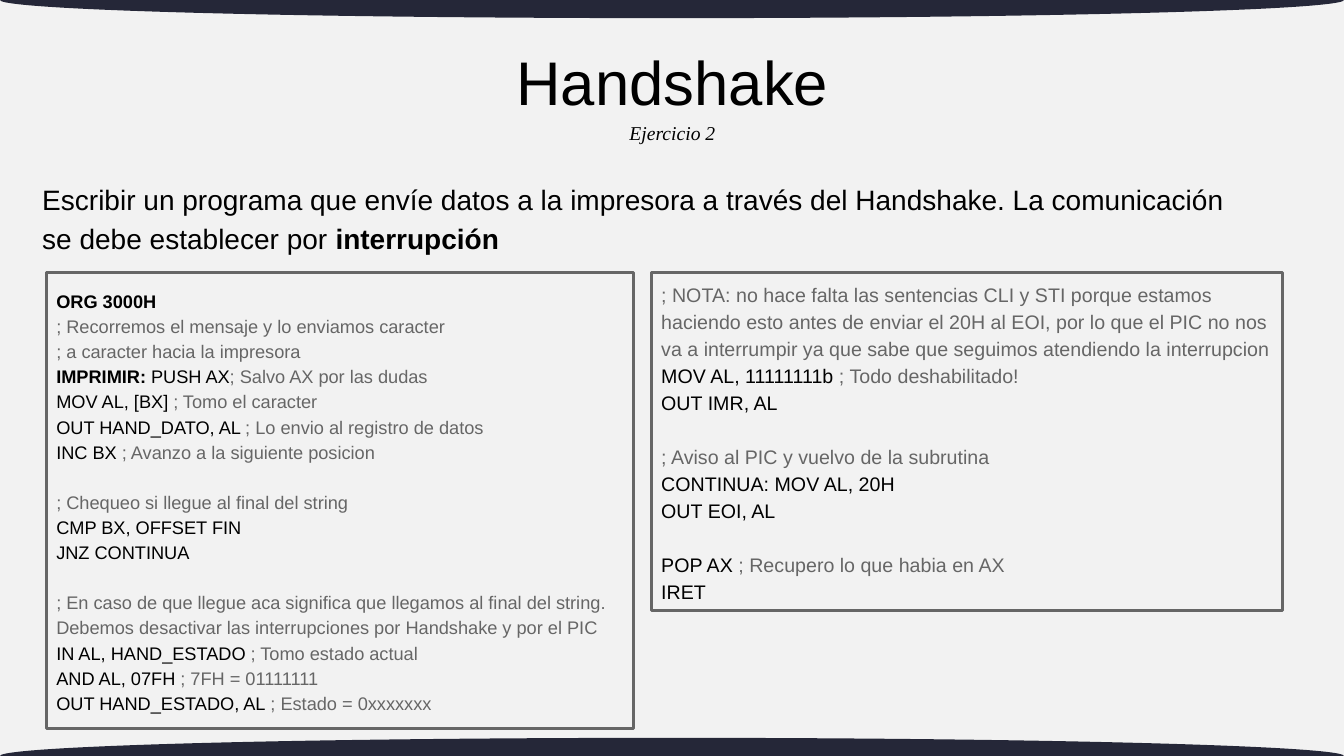
from pptx import Presentation
from pptx.dml.color import RGBColor
from pptx.enum.shapes import MSO_SHAPE
from pptx.enum.text import MSO_ANCHOR, PP_ALIGN
from pptx.util import Inches, Pt

ELLIPSE = MSO_SHAPE.OVAL
TOP, MIDDLE = MSO_ANCHOR.TOP, MSO_ANCHOR.MIDDLE
LEFT, CENTER = PP_ALIGN.LEFT, PP_ALIGN.CENTER

PAGE_WIDTH, PAGE_HEIGHT = 13.33, 7.5
BAND_HEIGHT = 0.36
PAPER, NAVY, BLACK, GREY = "F2F2F2", "252738", "000000", "666666"

# Blocks of code lines; each line is (bold label, code, comment)
PRINT_CODE = [
    [
        ("ORG 3000H", "", ""),
        ("", "", "; Recorremos el mensaje y lo enviamos caracter"),
        ("", "", "; a caracter hacia la impresora"),
        ("IMPRIMIR:", " PUSH AX", "; Salvo AX por las dudas"),
        ("", "MOV AL, [BX] ", "; Tomo el caracter"),
        ("", "OUT HAND_DATO, AL ", "; Lo envio al registro de datos"),
        ("", "INC BX ", "; Avanzo a la siguiente posicion"),
    ],
    [
        ("", "", "; Chequeo si llegue al final del string"),
        ("", "CMP BX, OFFSET FIN", ""),
        ("", "JNZ CONTINUA", ""),
    ],
    [
        ("", "", "; En caso de que llegue aca significa que llegamos al final "
                 "del string. Debemos desactivar las interrupciones por "
                 "Handshake y por el PIC"),
        ("", "IN AL, HAND_ESTADO", " ; Tomo estado actual"),
        ("", "AND AL, 07FH ", "; 7FH = 01111111"),
        ("", "OUT HAND_ESTADO, AL", " ; Estado = 0xxxxxxx"),
    ],
]
RETURN_CODE = [
    [
        ("", "", "; NOTA: no hace falta las sentencias CLI y STI porque "
                 "estamos haciendo esto antes de enviar el 20H al EOI, por lo "
                 "que el PIC no nos va a interrumpir ya que sabe que seguimos "
                 "atendiendo la interrupcion"),
        ("", "MOV AL, 11111111b ", "; Todo deshabilitado!"),
        ("", "OUT IMR, AL", ""),
    ],
    [
        ("", "", "; Aviso al PIC y vuelvo de la subrutina"),
        ("", "CONTINUA: MOV AL, 20H", ""),
        ("", "OUT EOI, AL", ""),
    ],
    [
        ("", "POP AX ", "; Recupero lo que habia en AX"),
        ("", "IRET", ""),
    ],
]


def color(value):
    return RGBColor.from_string(value)


def add_band(page, center_y):
    """Flat ellipse across the page, centred on an edge."""
    band = page.shapes.add_shape(
        ELLIPSE, Inches(0), Inches(center_y - BAND_HEIGHT / 2),
        Inches(PAGE_WIDTH), Inches(BAND_HEIGHT))
    band.shadow.inherit = False
    band.fill.solid()
    band.fill.fore_color.rgb = color(NAVY)
    band.line.fill.background()


def add_box(page, left, top, width, height, anchor=MIDDLE):
    box = page.shapes.add_textbox(
        Inches(left), Inches(top), Inches(width), Inches(height))
    box.text_frame.word_wrap = True
    box.text_frame.vertical_anchor = anchor
    return box


def add_span(para, text, size, tint=BLACK, bold=False, italic=False,
             font="Arial"):
    span = para.add_run()
    span.text = text
    span.font.name = font
    span.font.size = Pt(size)
    span.font.bold = bold
    span.font.italic = italic
    span.font.color.rgb = color(tint)


def add_heading(page, left, top, width):
    """Title with the exercise number under it."""
    title = add_box(page, left + 0.26, top, width - 0.52, 0.94)
    para = title.text_frame.paragraphs[0]
    para.alignment = CENTER
    para.line_spacing = 0.9
    add_span(para, "Handshake", 44)

    subtitle = add_box(page, left, top + 0.77, width, 0.34, TOP)
    para = subtitle.text_frame.paragraphs[0]
    para.alignment = CENTER
    add_span(para, "Ejercicio 2", 14, italic=True, font="Times New Roman")


def add_task(page, left, top, width, height):
    box = add_box(page, left, top, width, height)
    para = box.text_frame.paragraphs[0]
    para.alignment = LEFT
    para.line_spacing = 1.15
    add_span(para, "Escribir un programa que envíe datos a la impresora a "
                   "través del Handshake. La comunicación se debe establecer "
                   "por ", 20)
    add_span(para, "interrupción", 20, bold=True)


def add_code(page, left, top, width, height, blocks, size):
    """Framed listing with a one-line gap between blocks."""
    box = add_box(page, left, top, width, height)
    box.line.color.rgb = color(GREY)
    box.line.width = Pt(2.25)
    para = None
    for block in blocks:
        for index, (label, code, comment) in enumerate(block):
            if para is None:
                para = box.text_frame.paragraphs[0]
            else:
                para = box.text_frame.add_paragraph()
                if index == 0:
                    para.space_before = Pt(round(size * 1.38, 1))
            para.alignment = LEFT
            para.line_spacing = 1.15
            for text, tint, bold in ((label, BLACK, True),
                                     (code, BLACK, False),
                                     (comment, GREY, False)):
                if text:
                    add_span(para, text, size, tint, bold)


def main():
    deck = Presentation()
    deck.slide_width = Inches(PAGE_WIDTH)
    deck.slide_height = Inches(PAGE_HEIGHT)
    page = deck.slides.add_slide(deck.slide_layouts[6])
    page.background.fill.solid()
    page.background.fill.fore_color.rgb = color(PAPER)

    # Bands on the top and bottom edges
    for edge in (0, PAGE_HEIGHT):
        add_band(page, edge)

    # Heading and task
    add_heading(page, 4.4, 0.38, 4.54)
    add_task(page, 0.32, 1.78, 12.29, 0.73)

    # Code listings
    add_code(page, 0.46, 2.7, 5.82, 4.53, PRINT_CODE, 13)
    add_code(page, 6.46, 2.7, 6.26, 3.36, RETURN_CODE, 14)

    deck.save("out.pptx")


if __name__ == "__main__":
    main()
